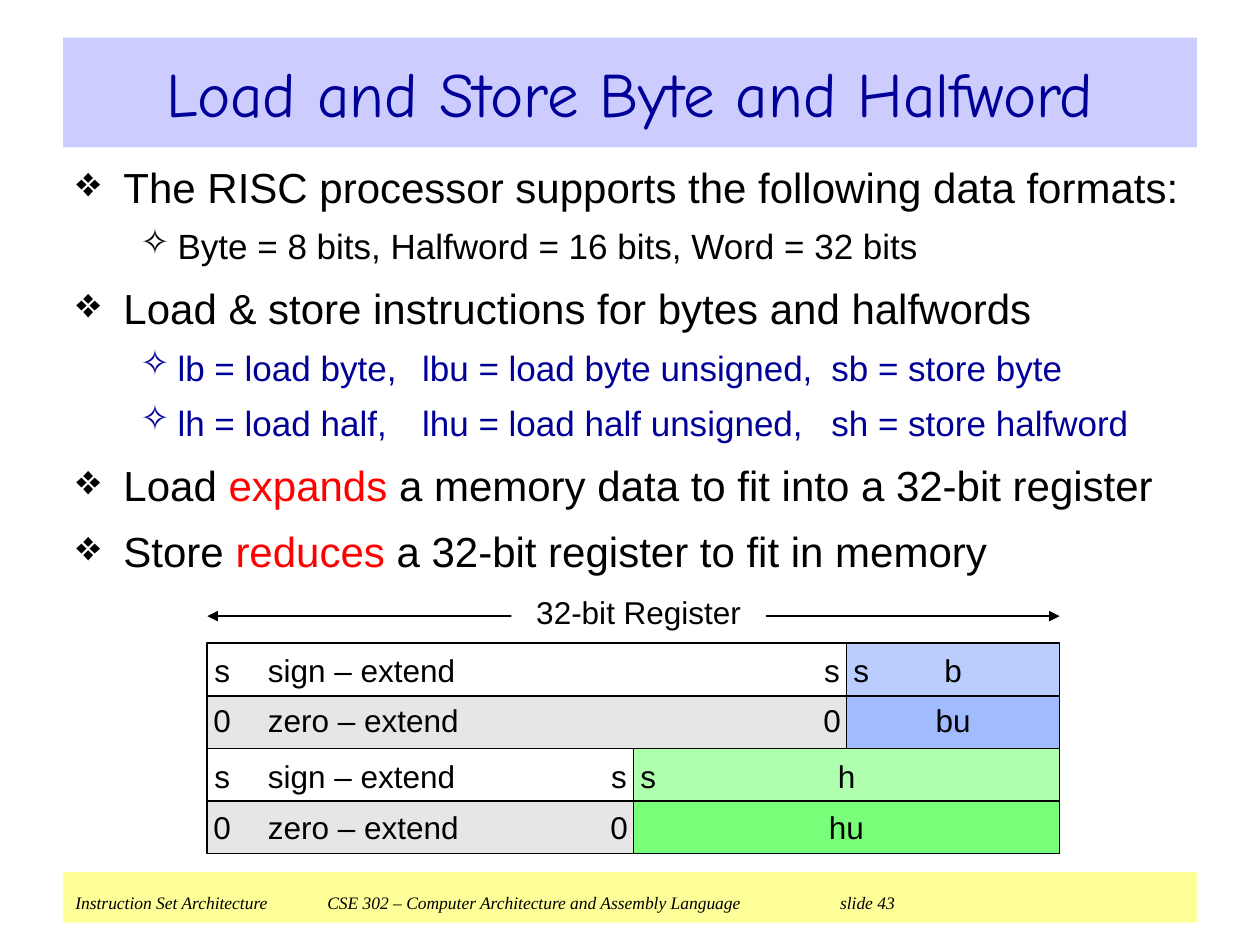
from lxml.etree import SubElement as Sub
from pptx import Presentation
from pptx.dml.color import RGBColor as Rgb
from pptx.enum.shapes import MSO_CONNECTOR as Link, MSO_SHAPE as Form
from pptx.enum.text import MSO_ANCHOR as Anchor, MSO_AUTO_SIZE as Fit, PP_ALIGN as Align
from pptx.oxml.ns import qn
from pptx.util import Cm, Pt

THEME = dict(
    ink="000000", blue="000099", red="FF0000", white="FFFFFF", gray="E6E6E6",
    band="CCCCFF", foot="FFFF99", byte="BACDFE", ubyte="A0BBFE",
    half="AFFFAF", uhalf="79FF79",
    sans="Arial", serif="Times New Roman", comic="Comic Neue",
    title=36, main=24, sub=20, label=18, small=10, line=1,
)

TITLE = "Load and Store Byte and Halfword"
RED = dict(color="red")
BODY = [
    (0, "ink", ["The RISC processor supports the following data formats:"]),
    (1, "ink", ["Byte = 8 bits, Halfword = 16 bits, Word = 32 bits"]),
    (0, "ink", ["Load & store instructions for bytes and halfwords"]),
    (1, "blue", ["lb = load byte,\tlbu = load byte unsigned,\tsb = store byte"]),
    (1, "blue", ["lh = load half,\tlhu = load half unsigned,\tsh = store halfword"]),
    (0, "ink", ["Load ", ("expands", RED), " a memory data to fit into a 32-bit register"]),
    (0, "ink", ["Store ", ("reduces", RED), " a 32-bit register to fit in memory"]),
]
LEVELS = [
    dict(size="main", mark="❖", left=0.97, hang=0.95, gap=9),
    dict(size="sub", mark="✧", left=2.06, hang=0.75, gap=7.5),
]
WORD = 32
ROWS = [
    dict(bits=8, sign="s", note="sign – extend", name="b", pad="white", data="byte", drop=0.02),
    dict(bits=8, sign="0", note="zero – extend", name="bu", pad="gray", data="ubyte", drop=-0.02),
    dict(bits=16, sign="s", note="sign – extend", name="h", pad="white", data="half", drop=0.04),
    dict(bits=16, sign="0", note="zero – extend", name="hu", pad="gray", data="uhalf", drop=0.02),
]
REG = "32-bit Register"
FOOT = [
    "Instruction Set Architecture\tCSE 302 – Computer Architecture and Assembly Language \t",
    (" ", dict(size="label", face="sans", slant=False)),
    "slide 43",
]

LEFT, TOP, WIDE, TALL = 4.18, 12.97, 17.18, 1.06
MARGIN, SPAN = 1.27, 22.86


def tint(name):
    return Rgb.from_string(THEME[name])


def write(para, text, **base):
    para.alignment = base.get("align", Align.LEFT)
    for part in [text] if isinstance(text, str) else text:
        words, extra = (part, {}) if isinstance(part, str) else part
        look = {"size": "label", "face": "sans", "color": "ink", "slant": False, **base, **extra}
        run = para.add_run()
        run.text = words
        run.font.size = Pt(THEME[look["size"]])
        run.font.name = THEME[look["face"]]
        run.font.color.rgb = tint(look["color"])
        run.font.italic = look["slant"]


def stops(para, spots):
    tabs = Sub(para._p.get_or_add_pPr(), qn("a:tabLst"))
    for spot in spots:
        Sub(tabs, qn("a:tab"), pos=str(Cm(spot)), algn="l")


def bullet(para, level, color):
    rule = LEVELS[level]
    para.level = level
    props = para._p.get_or_add_pPr()
    props.set("marL", str(Cm(rule["left"])))
    props.set("indent", str(-Cm(rule["hang"])))
    shade = Sub(props, qn("a:buClr"))
    Sub(shade, qn("a:srgbClr"), val=THEME[color])
    Sub(props, qn("a:buChar"), char=rule["mark"])


def frame(shape, anchor=Anchor.TOP):
    area = shape.text_frame
    area.word_wrap = True
    area.auto_size = Fit.NONE
    area.vertical_anchor = anchor
    return area


def paint(shape, name):
    shape.fill.solid()
    shape.fill.fore_color.rgb = tint(name)


def block(slide, x, y, wide, tall, fill, edge=True):
    shape = slide.shapes.add_shape(Form.RECTANGLE, Cm(x), Cm(y), Cm(wide), Cm(tall))
    shape.shadow.inherit = False
    paint(shape, fill)
    if edge:
        shape.line.color.rgb = tint("ink")
        shape.line.width = Pt(THEME["line"])
    else:
        shape.line.fill.background()
    return shape


def label(slide, text, x, y, wide, **look):
    box = slide.shapes.add_textbox(Cm(x), Cm(y), Cm(wide), Cm(1.02))
    write(frame(box).paragraphs[0], text, **look)
    return box


def draw_row(slide, index, row):
    y = TOP + index * TALL
    data = WIDE * row["bits"] / WORD
    split = LEFT + WIDE - data
    block(slide, split, y, data, TALL, row["data"])
    block(slide, LEFT, y, WIDE - data, TALL, row["pad"])
    spots = [LEFT - 0.2, split - 0.79]
    if row["sign"] == "s":
        spots.append(split - 0.2)
    y += row["drop"]
    for x in spots:
        label(slide, row["sign"], x, y, 1, align=Align.CENTER)
    label(slide, row["note"], LEFT + 0.97, y, 5)
    label(slide, row["name"], split, y, data, align=Align.CENTER)


def draw_span(slide):
    y = 12.42
    line = slide.shapes.add_connector(
        Link.STRAIGHT, Cm(LEFT), Cm(y), Cm(LEFT + WIDE), Cm(y))
    line.line.color.rgb = tint("ink")
    line.line.width = Pt(THEME["line"])
    for end in ("a:headEnd", "a:tailEnd"):
        Sub(line.line._get_or_add_ln(), qn(end), type="triangle")
    Sub(line._element.spPr, qn("a:effectLst"))
    paint(label(slide, REG, 10.31, 11.84, 5.13, align=Align.CENTER), "white")


def draw_body(slide):
    box = slide.shapes.add_textbox(Cm(MARGIN), Cm(3.13), Cm(SPAN), Cm(9.14))
    area = frame(box)
    for index, (level, color, text) in enumerate(BODY):
        para = area.add_paragraph() if index else area.paragraphs[0]
        bullet(para, level, color)
        stops(para, [6.99, 15.24])
        if index:
            para.space_before = Pt(LEVELS[level]["gap"])
        write(para, text, size=LEVELS[level]["size"], color=color)


def draw_title(slide):
    title = slide.shapes.title
    title.left, title.top = Cm(MARGIN), Cm(0.76)
    title.width, title.height = Cm(SPAN), Cm(2.21)
    paint(title, "band")
    write(frame(title, Anchor.MIDDLE).paragraphs[0], TITLE,
          size="title", face="comic", color="blue", align=Align.CENTER)


def draw_foot(slide):
    bar = block(slide, MARGIN, 17.58, SPAN, 1.02, "foot", edge=False)
    para = frame(bar).paragraphs[0]
    stops(para, [5.08, 15.24])
    write(para, FOOT, size="small", face="serif", slant=True)


def main():
    deck = Presentation()
    deck.slide_width, deck.slide_height = Cm(25.4), Cm(19.05)
    slide = deck.slides.add_slide(deck.slide_layouts[5])
    draw_foot(slide)
    for index, row in enumerate(ROWS):
        draw_row(slide, index, row)
    draw_span(slide)
    draw_body(slide)
    draw_title(slide)
    deck.save("out.pptx")


if __name__ == "__main__":
    main()
